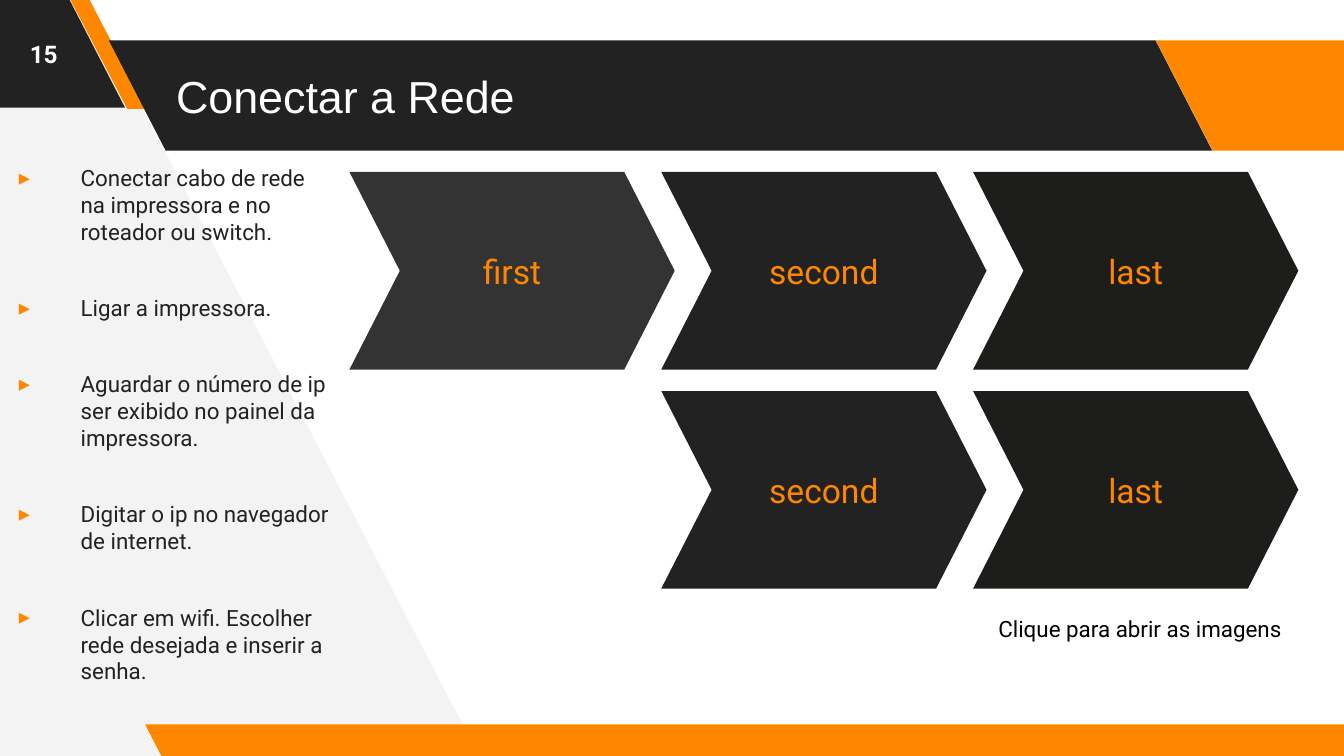
"""Build the network connection slide with its steps and chevron grid."""
import pptx
import pptx.dml.color
import pptx.enum.shapes
import pptx.enum.text
import pptx.oxml
import pptx.oxml.ns
import pptx.util
from dataclasses import dataclass

Inches = pptx.util.Inches
Pt = pptx.util.Pt
Shape = pptx.enum.shapes.MSO_SHAPE
Align = pptx.enum.text.PP_ALIGN
Anchor = pptx.enum.text.MSO_ANCHOR
AutoSize = pptx.enum.text.MSO_AUTO_SIZE


@dataclass(frozen=True)
class Theme:
    orange: str = "FF8700"
    dark: str = "222222"
    charcoal: str = "333333"
    black: str = "1D1D1B"
    pale: str = "F3F3F3"
    white: str = "FFFFFF"
    plain: str = "000000"
    title_size: int = 24
    chevron_size: int = 18
    number_size: int = 13
    text_size: int = 12
    title_font: str = "Arial"
    text_font: str = "Roboto"


theme = Theme()


def paint(shape, color):
    shape.shadow.inherit = False
    shape.fill.solid()
    shape.fill.fore_color.rgb = pptx.dml.color.RGBColor.from_string(color)
    shape.line.fill.background()


def write(box, lines, color, size, font=theme.text_font, bold=False,
          align=Align.LEFT, space=0, **frame_format):
    frame = box.text_frame
    frame_values = {"word_wrap": True, "auto_size": AutoSize.NONE, "vertical_anchor": Anchor.MIDDLE}
    for side in ("left", "top", "right", "bottom"):
        frame_values[f"margin_{side}"] = Inches(0.1)
    for name, value in (frame_values | frame_format).items():
        setattr(frame, name, value)
    frame.text = "\n".join(lines)
    for para in frame.paragraphs:
        for name, value in {"alignment": align, "space_before": Pt(space)}.items():
            setattr(para, name, value)
        for span in para.runs:
            for name, value in {"name": font, "size": Pt(size), "bold": bold}.items():
                setattr(span.font, name, value)
            span.font.color.rgb = pptx.dml.color.RGBColor.from_string(color)


deck = pptx.Presentation()
deck.slide_width, deck.slide_height = Inches(10), Inches(10 * 9 / 16)
page = deck.slides.add_slide(deck.slide_layouts[1])
title, steps = page.placeholders[0], page.placeholders[1]

outline = page.shapes.build_freeform(Inches(3.56), Inches(5.62))
outline.add_line_segments(
    [(Inches(x), Inches(y)) for x, y in [(0.62, -0.04), (-0.06, -0.04), (-0.02, 5.66)]])
paint(outline.convert_to_shape(), theme.pale)

bands = [
    (-0.99, -0.02, 1.92, 0.82, 0.515, theme.dark),
    (0.52, -0.01, 0.57, 0.82, 0.75, theme.orange),
    (0.81, 0.3, 8.21, 0.82, 0.515, theme.dark),
    (8.6, 0.3, 1.92, 0.82, 0.515, theme.orange),
    (1.08, 5.39, 9.15, 0.25, 0.515, theme.orange),
]
for left, top, width, height, slant, color in bands:
    band = page.shapes.add_shape(
        Shape.PARALLELOGRAM, Inches(left), Inches(top), Inches(width), Inches(height))
    band.adjustments[0] = slant
    band.element.spPr.xfrm.set("flipH", "1")
    paint(band, color)

for holder, place in [(title, (1.21, 0.3, 7.35, 0.82)), (steps, (0, 1.12, 2.59, 4.27))]:
    for name, value in zip(("left", "top", "width", "height"), place):
        setattr(holder, name, Inches(value))
    holder.element.getparent().append(holder.element)

write(title, ["Conectar a Rede"], theme.white, theme.title_size, theme.title_font)
write(steps, [
    "Conectar cabo de rede na impressora e no roteador ou switch.",
    "Ligar a impressora.",
    "Aguardar o número de ip ser exibido no painel da impressora.",
    "Digitar o ip no navegador de internet.",
    "Clicar em wifi. Escolher rede desejada e inserir a senha.",
], theme.dark, theme.text_size, space=26.5, vertical_anchor=Anchor.TOP)
for para in steps.text_frame.paragraphs:
    layout = para._p.get_or_add_pPr()
    layout.set("marL", str(Inches(0.5)))
    layout.set("indent", str(Inches(-0.46)))
    for bullet in (f'<a:buClr %s><a:srgbClr val="{theme.orange}"/></a:buClr>',
                   '<a:buChar %s char="▸"/>'):
        layout.append(pptx.oxml.parse_xml(bullet % pptx.oxml.ns.nsdecls("a")))

number = page.shapes.add_textbox(Inches(0), Inches(0), Inches(0.65), Inches(0.8))
write(number, ["15"], theme.white, theme.number_size, bold=True, align=Align.CENTER)

stages = [("first", theme.charcoal), ("second", theme.dark), ("last", theme.black)]
for row, first_column in enumerate((0, 1)):
    for column, (label, color) in list(enumerate(stages))[first_column:]:
        chevron = page.shapes.add_shape(
            Shape.CHEVRON, Inches(2.6 + 2.32 * column), Inches(1.28 + 1.63 * row),
            Inches(2.42), Inches(1.47))
        chevron.adjustments[0] = 0.255
        paint(chevron, color)
        write(chevron, [label], theme.orange, theme.chevron_size, align=Align.CENTER)

hint = page.shapes.add_textbox(Inches(7.33), Inches(4.53), Inches(2.33), Inches(0.3))
write(hint, ["Clique para abrir as imagens"], theme.plain, theme.text_size,
      word_wrap=False, auto_size=AutoSize.SHAPE_TO_FIT_TEXT, vertical_anchor=Anchor.TOP,
      margin_top=Inches(0.05), margin_bottom=Inches(0.05))

deck.save("out.pptx")
